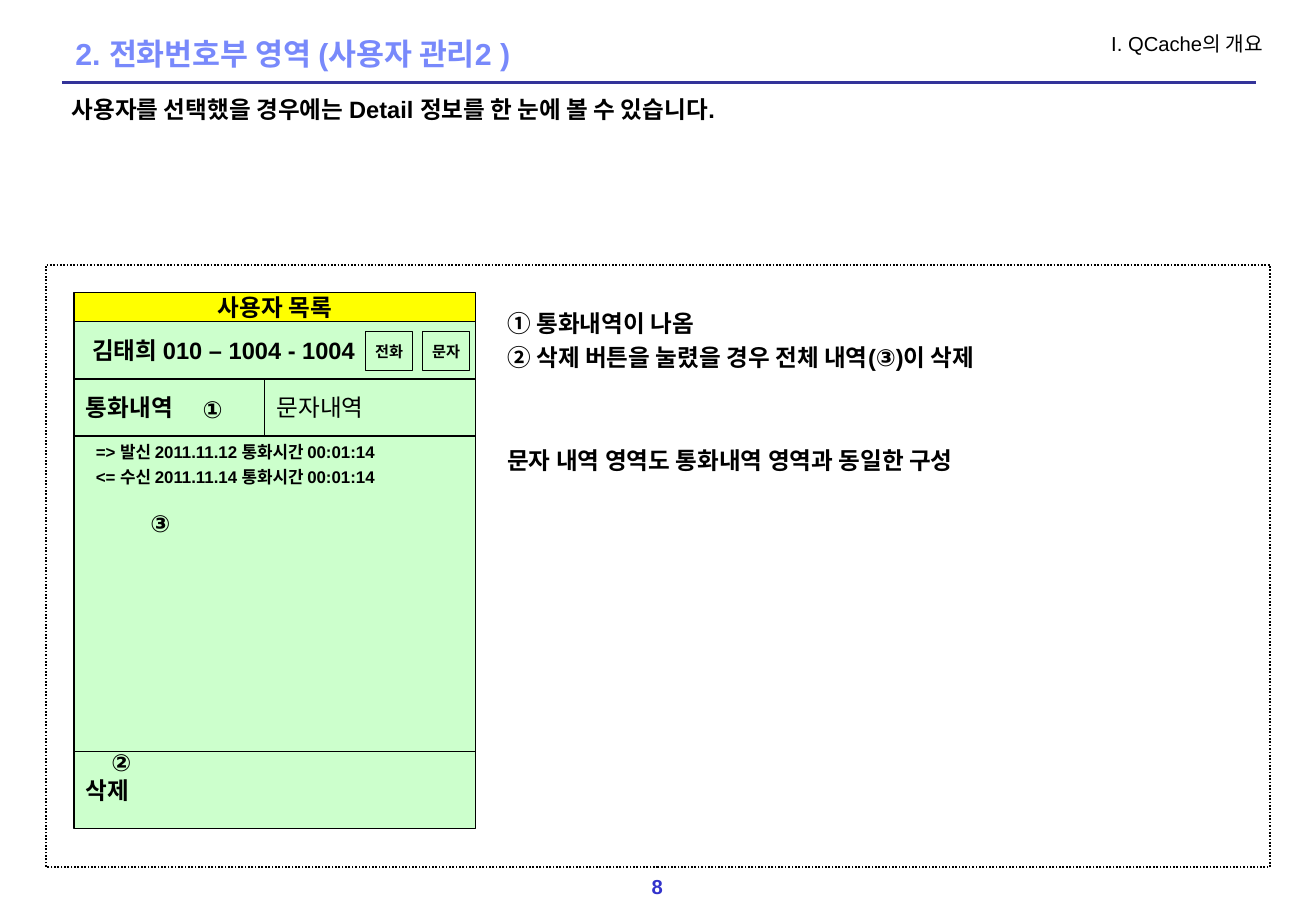
"""Build the phone-book slide that describes the user detail screen."""
from dataclasses import dataclass
from typing import Optional

from lxml import etree
from pptx import Presentation
from pptx import util as u
from pptx.dml.color import RGBColor
from pptx.enum import dml, shapes, text
from pptx.oxml.ns import qn

PX = 9144
FONT = "Arial"
BLACK = RGBColor(0x00, 0x00, 0x00)
GREEN = RGBColor(0xCC, 0xFF, 0xCC)
YELLOW = RGBColor(0xFF, 0xFF, 0x00)
TITLE_BLUE = RGBColor(0x78, 0x89, 0xFB)
RULE_BLUE = RGBColor(0x33, 0x33, 0x99)
PAGE_BLUE = RGBColor(0x33, 0x33, 0xCC)
LEFT, CENTER, RIGHT = text.PP_ALIGN.LEFT, text.PP_ALIGN.CENTER, text.PP_ALIGN.RIGHT
TOP, MIDDLE = text.MSO_ANCHOR.TOP, text.MSO_ANCHOR.MIDDLE

SCREEN_LEFT, SCREEN_WIDTH = 61, 331
TAB_WIDTH = 157


@dataclass(frozen=True)
class Label:
    """Wording with its style; gaps are extra points before each line."""
    lines: tuple[str, ...]
    size: int = 14
    bold: bool = True
    color: RGBColor = BLACK
    align: text.PP_ALIGN = LEFT
    anchor: text.MSO_ANCHOR = MIDDLE
    inset_x: int = 10
    inset_y: int = 5
    before: float = 3.5
    gaps: tuple[float, ...] = ()


@dataclass(frozen=True)
class Area:
    """A place on the slide in px, with its label and optional fill."""
    left: int
    top: int
    width: int
    height: int
    label: Label
    fill: Optional[RGBColor] = None


def write(frame, label: Label) -> None:
    """Put a label into a text frame."""
    frame.word_wrap = True
    frame.auto_size = text.MSO_AUTO_SIZE.NONE
    frame.vertical_anchor = label.anchor
    frame.margin_left = frame.margin_right = label.inset_x * PX
    frame.margin_top = frame.margin_bottom = label.inset_y * PX
    for index, line in enumerate(label.lines):
        paragraph = frame.paragraphs[0] if index == 0 else frame.add_paragraph()
        paragraph.text = line
        paragraph.alignment = label.align
        gap = label.gaps[index] if label.gaps else 0
        paragraph.space_before = u.Pt(label.before + gap)
        paragraph.font.name = FONT
        paragraph.font.size = u.Pt(label.size)
        paragraph.font.bold = label.bold
        paragraph.font.color.rgb = label.color


def add_rectangle(slide, left: int, top: int, width: int, height: int, weight: float):
    """Add an unfilled rectangle with a black outline."""
    rectangle = slide.shapes.add_shape(
        shapes.MSO_SHAPE.RECTANGLE, left * PX, top * PX, width * PX, height * PX)
    rectangle.shadow.inherit = False
    rectangle.fill.background()
    rectangle.line.color.rgb = BLACK
    rectangle.line.width = u.Pt(weight)
    return rectangle


def add_area(slide, area: Area) -> None:
    """Draw a filled area as a rectangle and a plain one as a text box."""
    place = (area.left, area.top, area.width, area.height)
    if area.fill is None:
        holder = slide.shapes.add_textbox(*(length * PX for length in place))
    else:
        holder = add_rectangle(slide, *place, 0.75)
        holder.fill.solid()
        holder.fill.fore_color.rgb = area.fill
    write(holder.text_frame, area.label)


def add_title(slide) -> None:
    """Move and format the title placeholder."""
    title = slide.shapes.title
    title.left, title.top, title.width, title.height = (
        length * PX for length in (52, 27, 980, 37))
    write(title.text_frame, Label(("2. 전화번호부 영역 (사용자 관리2 )",), 18,
                                  color=TITLE_BLUE, before=11.2))
    title.text_frame.paragraphs[0].line_spacing = 0.9


def add_title_rule(slide) -> None:
    """Draw the line under the title."""
    rule = slide.shapes.add_connector(
        shapes.MSO_CONNECTOR.STRAIGHT, 51 * PX, 68 * PX, 1035 * PX, 68 * PX)
    rule.line.color.rgb = RULE_BLUE
    rule.line.width = u.Pt(2)
    etree.SubElement(rule._element.spPr, qn("a:effectLst"))


def marker(mark: str, center: int, top: int) -> Area:
    """Make a circled number centred on a point."""
    return Area(center - 18, top, 36, 34, Label((mark,), align=CENTER, anchor=TOP))


def screen_row(top: int, height: int, label: Label, fill: RGBColor = GREEN) -> Area:
    """Make a row as wide as the phone screen."""
    return Area(SCREEN_LEFT, top, SCREEN_WIDTH, height, label, fill)


def button(left: int, caption: str) -> Area:
    """Make a small button in the contact row."""
    return Area(left, 273, 39, 32,
                Label((caption,), 9, align=CENTER, inset_x=0, before=2.2), GREEN)


CALL_LOG = (
    "=> 발신 2011.11.12 통화시간 00:01:14",
    "<= 수신 2011.11.14 통화시간 00:01:14",
)
NOTES = (
    "① 통화내역이 나옴",
    "② 삭제 버튼을 눌렸을 경우 전체 내역(③)이 삭제",
    "문자 내역 영역도 통화내역 영역과 동일한 구성",
)
HEADINGS = (
    Area(52, 75, 983, 29, Label(
        ("사용자를 선택했을 경우에는 Detail 정보를 한 눈에 볼 수 있습니다.",),
        anchor=TOP, inset_x=7, inset_y=3, before=7.9)),
    Area(850, 21, 200, 30, Label(("I. QCache의 개요",), 12, bold=False,
                                 align=RIGHT, anchor=TOP, before=0)),
    Area(526, 714, 31, 31, Label(("8",), 12, color=PAGE_BLUE, align=CENTER,
                                 inset_x=6, inset_y=6, before=0)),
)
SCREEN = (
    screen_row(241, 24, Label(("사용자 목록",), align=CENTER, inset_y=0), YELLOW),
    screen_row(265, 47, Label(("김태희 010 – 1004 - 1004",), inset_x=15)),
    Area(SCREEN_LEFT, 312, TAB_WIDTH, 47, Label(("통화내역",)), GREEN),
    Area(SCREEN_LEFT + TAB_WIDTH, 312, SCREEN_WIDTH - TAB_WIDTH, 47,
         Label(("문자내역",), bold=False), GREEN),
    screen_row(359, 260, Label(CALL_LOG, 10, anchor=TOP, inset_x=18, before=2.5)),
    screen_row(619, 63, Label(("삭제",))),
    button(301, "전화"),
    button(348, "문자"),
    marker("①", 175, 320),
    marker("②", 100, 611),
    marker("③", 132, 414),
)
EXPLANATION = Area(408, 249, 575, 344, Label(NOTES, anchor=TOP, gaps=(0, 0, 41)))


def main() -> None:
    """Build and save the slide."""
    deck = Presentation()
    deck.slide_width, deck.slide_height = 1084 * PX, 750 * PX
    slide = deck.slides.add_slide(deck.slide_layouts[5])
    add_title_rule(slide)
    add_title(slide)
    frame = add_rectangle(slide, 38, 218, 1008, 496, 1)
    frame.line.dash_style = dml.MSO_LINE.ROUND_DOT
    for area in (*HEADINGS, EXPLANATION, *SCREEN):
        add_area(slide, area)
    deck.save("out.pptx")


if __name__ == "__main__":
    main()
